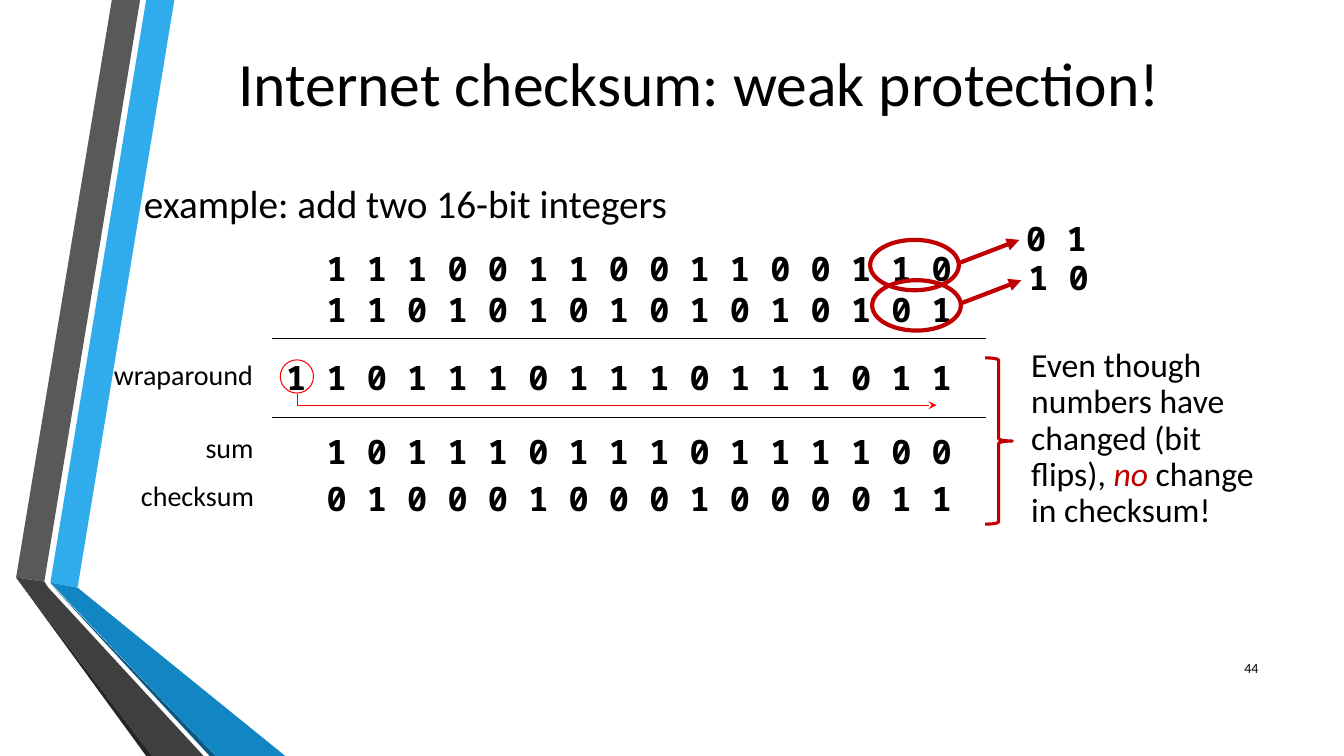
"""Build the slide on the weak protection of the Internet checksum."""
from dataclasses import dataclass

from lxml.etree import SubElement
from pptx import Presentation
from pptx.dml.color import RGBColor
from pptx.enum.shapes import MSO_CONNECTOR, MSO_SHAPE
from pptx.enum.text import MSO_ANCHOR, PP_ALIGN
from pptx.oxml.ns import qn
from pptx.shapes.autoshape import Shape
from pptx.shapes.base import BaseShape
from pptx.slide import Slide
from pptx.util import Inches, Pt

COLORS = {
    "black": "000000", "red": "FF0000", "dark red": "C00000",
    "sky": "30ACEC", "blue": "1186C3", "navy": "0B5982",
    "gray": "595959", "charcoal": "3F3F3F", "soot": "262626",
}
SANS = "Calibri"
MONO = "Noto Sans Mono"
Point = tuple[float, float]


@dataclass(frozen=True)
class Band:
    color: str
    points: tuple[Point, ...]


@dataclass(frozen=True)
class Span:
    text: str
    color: str = "black"
    italic: bool = False


@dataclass(frozen=True)
class Label:
    left: float
    top: float
    width: float
    height: float
    spans: tuple[Span, ...]
    size: int
    font: str = SANS
    bold: bool = False
    align: PP_ALIGN = PP_ALIGN.LEFT
    anchor: MSO_ANCHOR = MSO_ANCHOR.TOP
    spacing: float = 1.0


@dataclass(frozen=True)
class Outline:
    kind: MSO_SHAPE
    left: float
    top: float
    width: float
    height: float
    color: str
    weight: float


@dataclass(frozen=True)
class Line:
    start: Point
    end: Point
    color: str
    weight: float
    arrow: str = ""


def bits(left: float, top: float, digits: str) -> Label:
    return Label(left, top, 0.4 * len(digits) + 0.05, 0.5,
                 (Span(" ".join(digits)),), 24, MONO, True)


BANDS = (
    Band("sky", ((0.5, 5.78), (0.77, 5.83), (1.73, 0), (1.45, 0))),
    Band("gray", ((1.39, 0), (1.11, 0), (0.16, 5.73), (0.44, 5.77))),
    Band("soot", ((0.16, 5.73), (1.45, 7.5), (1.51, 7.5))),
    Band("navy", ((0.5, 5.79), (2.08, 7.5), (2.14, 7.5))),
    Band("blue", ((0.5, 5.78), (2.14, 7.5), (2.83, 7.5), (0.77, 5.83))),
    Band("charcoal", ((2.02, 7.5), (0.48, 5.83), (0.44, 5.77), (0.16, 5.73), (1.51, 7.5))),
)
LABELS = (
    Label(0.87, 0.32, 12.14, 0.98, (Span("Internet checksum: weak protection!"),), 44,
          align=PP_ALIGN.CENTER, anchor=MSO_ANCHOR.MIDDLE),
    Label(1.33, 1.59, 8.5, 3, (Span("example: add two 16-bit integers"),), 28, spacing=1.3),
    Label(1.03, 3.5, 1.59, 0.44, (Span("wraparound"),), 20),
    Label(1.94, 4.22, 0.7, 0.44, (Span("sum"),), 20),
    Label(1.3, 4.7, 1.34, 0.44, (Span("checksum"),), 20),
    bits(3.14, 2.41, "1110011001100110"),
    bits(3.14, 2.82, "1101010101010101"),
    bits(2.74, 3.49, "11011101110111011"),
    bits(3.14, 4.23, "1011101110111100"),
    bits(3.14, 4.69, "0100010001000011"),
    bits(10.08, 2.11, "01"),
    bits(10.1, 2.5, "10"),
    Label(10.13, 3.41, 2.63, 1.92, (
        Span("Even though numbers have changed (bit flips), "),
        Span("no", "dark red", True),
        Span(" change in checksum!"),
    ), 24, spacing=0.9),
    Label(11.98, 6.43, 0.6, 0.4, (Span("44"),), 10,
          align=PP_ALIGN.RIGHT, anchor=MSO_ANCHOR.MIDDLE),
)
OUTLINES = (
    Outline(MSO_SHAPE.OVAL, 2.78, 3.57, 0.33, 0.33, "red", 0.75),
    Outline(MSO_SHAPE.OVAL, 8.63, 2.38, 0.88, 0.5, "dark red", 3),
    Outline(MSO_SHAPE.OVAL, 8.65, 2.78, 0.88, 0.5, "dark red", 3),
    Outline(MSO_SHAPE.RIGHT_BRACE, 9.77, 3.55, 0.27, 1.65, "dark red", 2.25),
)
LINES = (
    Line((9.78, 3.36), (2.7, 3.36), "black", 1),
    Line((9.78, 4.14), (2.7, 4.14), "black", 1),
    Line((9.51, 2.61), (10.11, 2.38), "dark red", 3, "triangle"),
    Line((9.53, 3.01), (10.13, 2.78), "dark red", 3, "triangle"),
)
WRAP_PATH = ((2.95, 3.91), (2.95, 4.02), (9.29, 4.02))


def rgb(name: str) -> RGBColor:
    return RGBColor.from_string(COLORS[name])


def add_path(page: Slide, points: tuple[Point, ...], close: bool) -> Shape:
    corners = [(Inches(x), Inches(y)) for x, y in points]
    builder = page.shapes.build_freeform(*corners[0])
    builder.add_line_segments(corners[1:], close=close)
    shape = builder.convert_to_shape()
    shape.shadow.inherit = False
    return shape


def draw_band(page: Slide, band: Band) -> None:
    shape = add_path(page, band.points, True)
    shape.fill.solid()
    shape.fill.fore_color.rgb = rgb(band.color)
    shape.line.fill.background()


def draw_label(page: Slide, label: Label) -> None:
    box = page.shapes.add_textbox(Inches(label.left), Inches(label.top),
                                  Inches(label.width), Inches(label.height))
    frame = box.text_frame
    frame.word_wrap = True
    frame.vertical_anchor = label.anchor
    para = frame.paragraphs[0]
    para.alignment = label.align
    para.line_spacing = label.spacing
    for span in label.spans:
        run = para.add_run()
        run.text = span.text
        run.font.name = label.font
        run.font.size = Pt(label.size)
        run.font.bold = label.bold
        run.font.italic = span.italic
        run.font.color.rgb = rgb(span.color)


def set_stroke(shape: BaseShape, color: str, weight: float, arrow: str = "") -> None:
    shape.line.color.rgb = rgb(color)
    shape.line.width = Pt(weight)
    if arrow:
        SubElement(shape.element.spPr.find(qn("a:ln")), qn("a:tailEnd"), type=arrow)


def draw_outline(page: Slide, outline: Outline) -> None:
    shape = page.shapes.add_shape(outline.kind, Inches(outline.left), Inches(outline.top),
                                  Inches(outline.width), Inches(outline.height))
    shape.shadow.inherit = False
    shape.fill.background()
    set_stroke(shape, outline.color, outline.weight)


def draw_line(page: Slide, line: Line) -> None:
    connector = page.shapes.add_connector(
        MSO_CONNECTOR.STRAIGHT, *(Inches(value) for value in line.start + line.end))
    set_stroke(connector, line.color, line.weight, line.arrow)
    SubElement(connector.element.spPr, qn("a:effectLst"))


def main() -> None:
    deck = Presentation()
    deck.slide_width, deck.slide_height = Inches(13.33), Inches(7.5)
    page = deck.slides.add_slide(deck.slide_layouts[6])
    for band in BANDS:
        draw_band(page, band)
    for label in LABELS:
        draw_label(page, label)
    for outline in OUTLINES:
        draw_outline(page, outline)
    for line in LINES:
        draw_line(page, line)
    wrap_arrow = add_path(page, WRAP_PATH, False)
    wrap_arrow.fill.background()
    set_stroke(wrap_arrow, "red", 0.75, "stealth")
    deck.save("out.pptx")


if __name__ == "__main__":
    main()
